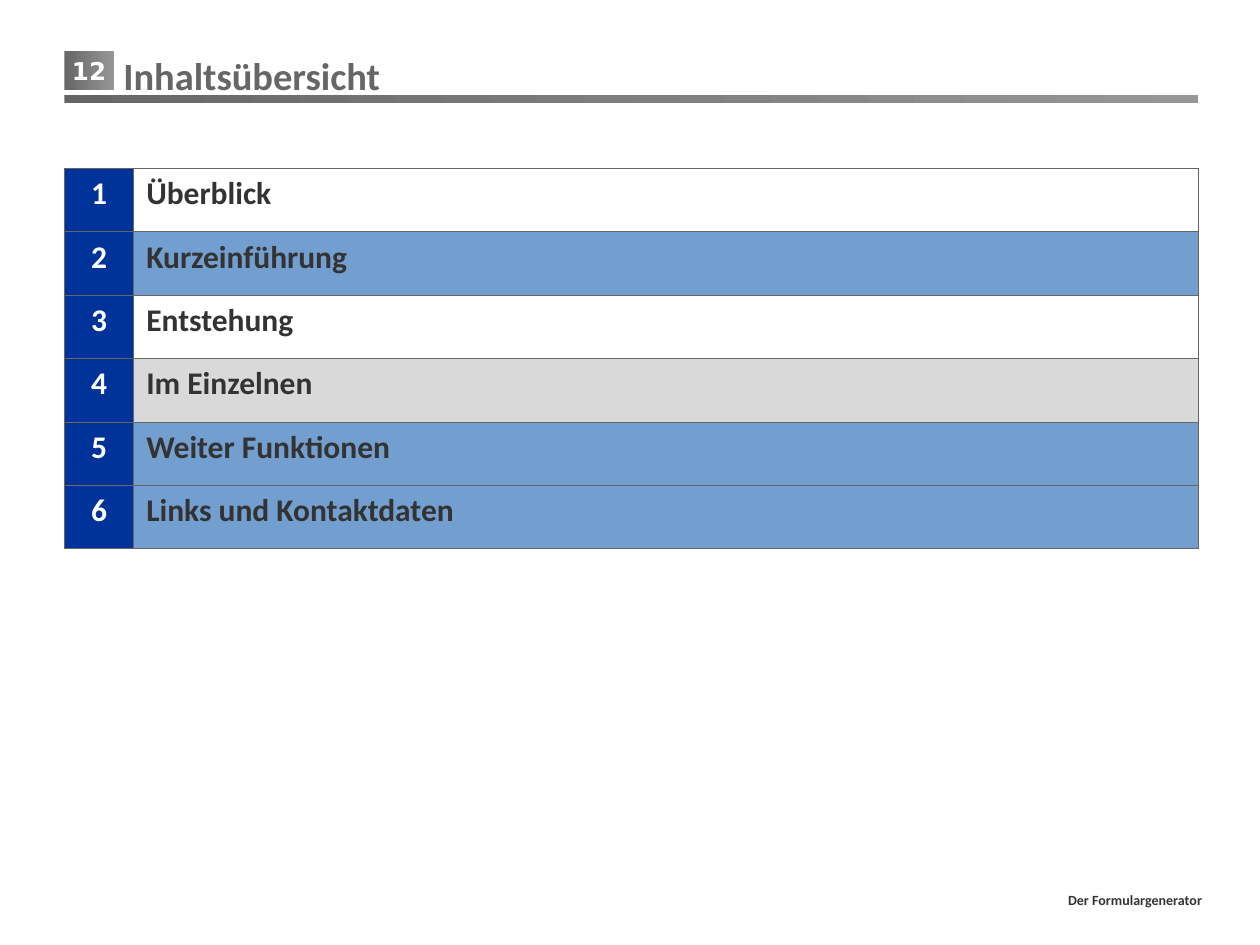
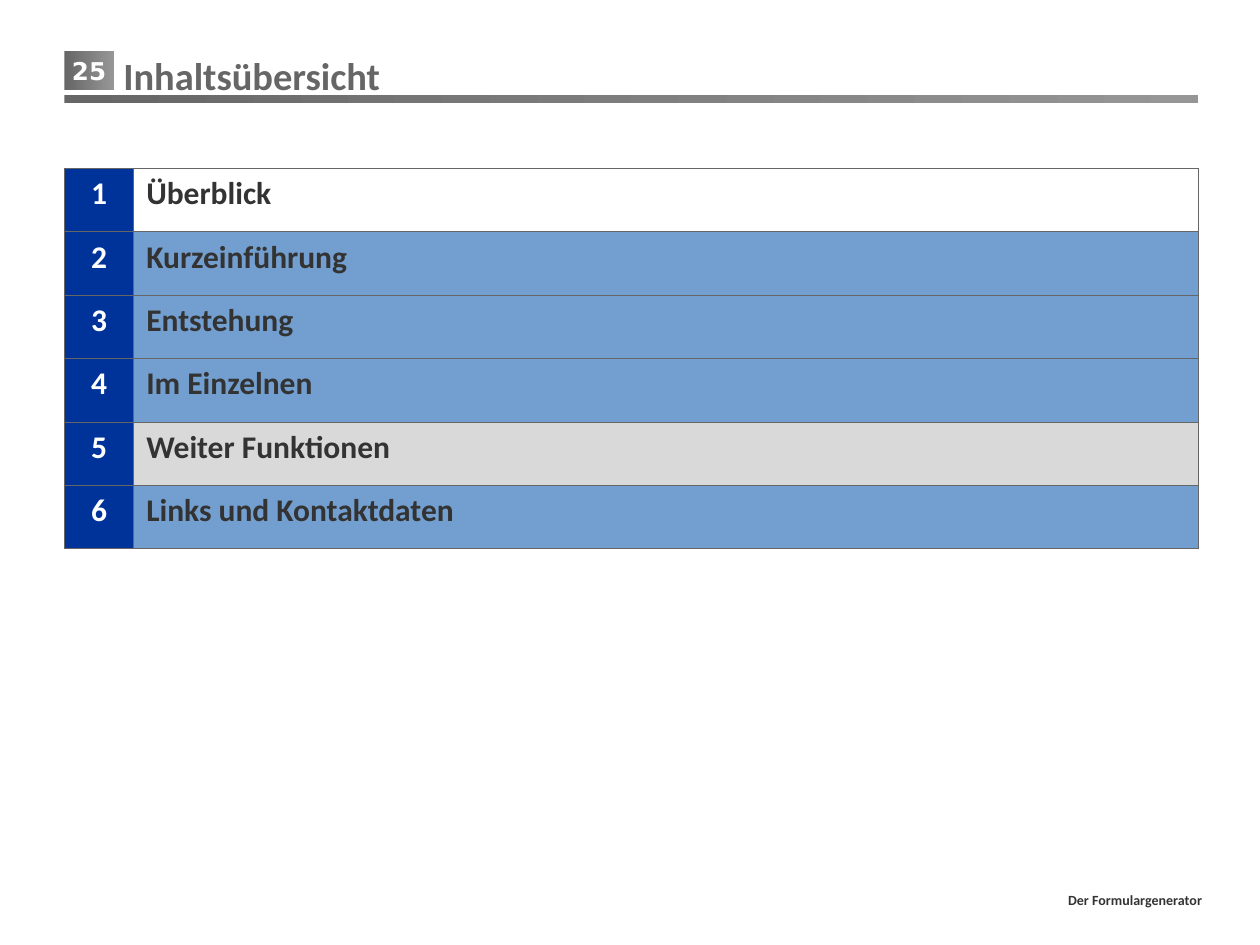
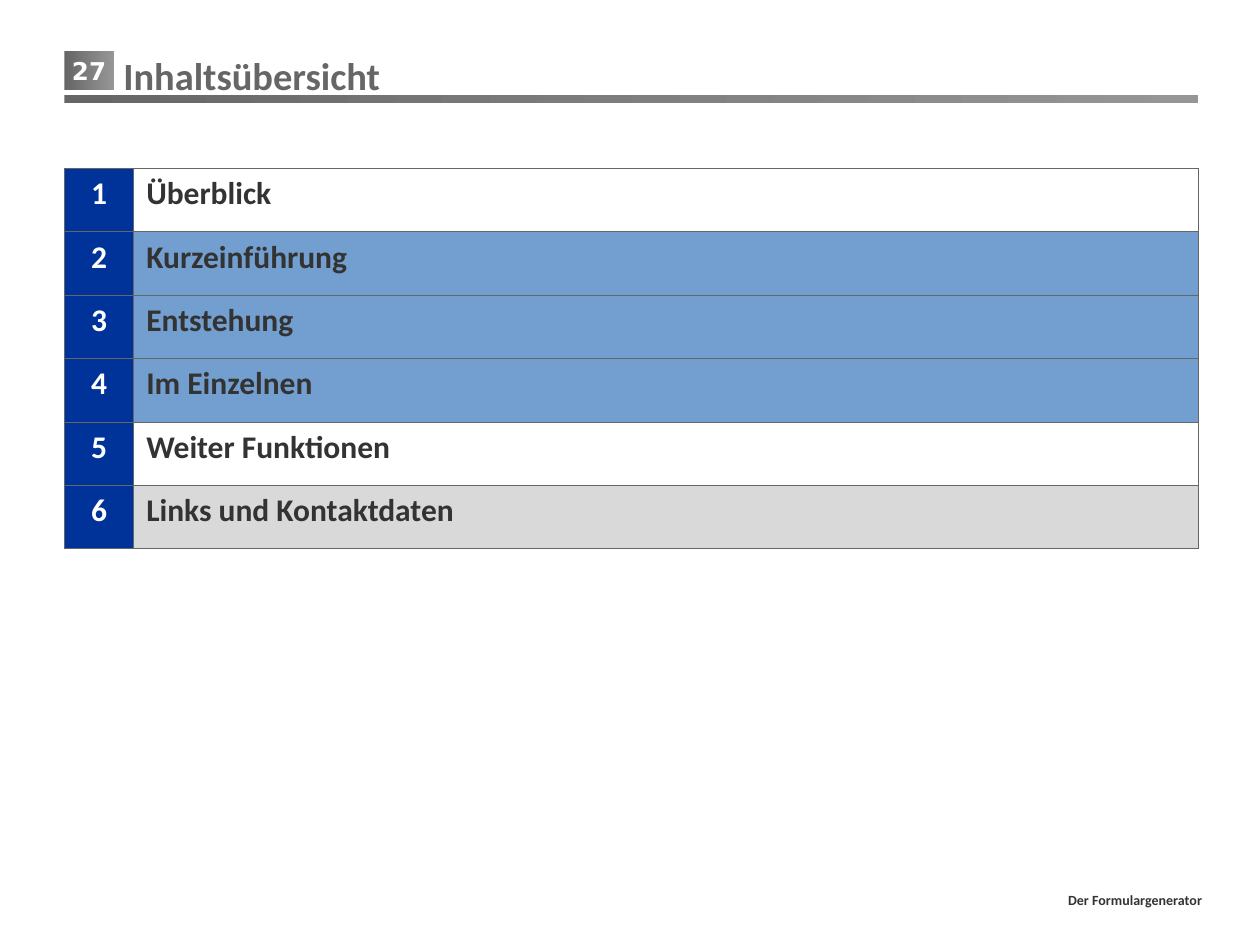
from collections import namedtuple
from dataclasses import dataclass

from lxml.etree import SubElement
from pptx import Presentation
from pptx.dml.color import RGBColor as Color
from pptx.enum.shapes import MSO_SHAPE as Shape
from pptx.enum.text import MSO_ANCHOR as Anchor, PP_ALIGN as Align
from pptx.oxml.ns import qn
from pptx.util import Pt

Box = namedtuple("Box", "left top width height")
Agenda = namedtuple("Agenda", "page current plain")


@dataclass(frozen=True)
class Theme:
    """Colours, fonts and type sizes of the deck."""
    white: str = "FFFFFF"
    ink: str = "333333"
    grey: str = "666666"
    light_grey: str = "969696"
    navy: str = "003399"
    blue: str = "729FCF"
    highlight: str = "D9D9D9"
    font: str = "Calibri"
    badge_font: str = "DejaVu Sans"
    title_size: int = 22
    table_size: int = 18
    badge_size: int = 14
    footer_size: int = 8


THEME = Theme()
HEADER = Box(36.8, 26, 648, 33)
TABLE = Box(36.8, 96.3, 648, 217.2)
FOOTER = Box(82.8, 501, 611.3, 26)
NUMBER_WIDTH = 39.6
CHAPTERS = ["Überblick", "Kurzeinführung", "Entstehung", "Im Einzelnen",
            "Weiter Funktionen", "Links und Kontaktdaten"]
AGENDAS = [Agenda(12, 4, {1, 3}), Agenda(25, 5, {1}), Agenda(27, 6, {1, 5})]


def write(frame, text, size, color, align=Align.LEFT, font=THEME.font):
    """Put one bold paragraph into a text frame."""
    paragraph = frame.paragraphs[0]
    paragraph.text = text
    paragraph.alignment = align
    paragraph.font.name = font
    paragraph.font.size = Pt(size)
    paragraph.font.bold = True
    paragraph.font.color.rgb = Color.from_string(color)


def add_text(slide, box, anchor, *style):
    """Add a wrapping text box and return its frame."""
    frame = slide.shapes.add_textbox(*map(Pt, box)).text_frame
    frame.word_wrap = True
    frame.vertical_anchor = anchor
    write(frame, *style)
    return frame


def add_gradient_bar(slide, box):
    """Add a rectangle that fades from grey to light grey."""
    shape = slide.shapes.add_shape(Shape.RECTANGLE, *map(Pt, box))
    shape.shadow.inherit = False
    shape.line.fill.background()
    shape.fill.gradient()
    shape.fill.gradient_angle = 0
    for stop, color in zip(shape.fill.gradient_stops, (THEME.grey, THEME.light_grey)):
        stop.color.rgb = Color.from_string(color)
    return shape


def add_header(slide, box, page, title):
    """Add the page badge, the rule and the title."""
    badge = add_gradient_bar(slide, Box(box.left, box.top + 3, 28.3, 22.5))
    badge.text_frame.word_wrap = False
    badge.text_frame.vertical_anchor = Anchor.MIDDLE
    write(badge.text_frame, str(page), THEME.badge_size, THEME.white,
          Align.CENTER, THEME.badge_font)
    add_gradient_bar(slide, Box(box.left, box.top + 28.5, box.width, 4.5))
    add_text(slide, Box(box.left + 26.6, box.top, box.width - 24, box.height + 1),
             Anchor.TOP, title, THEME.title_size, THEME.grey)


def add_footer(slide, box):
    """Add the right-aligned footer."""
    add_text(slide, box, Anchor.MIDDLE, "Der Formulargenerator",
             THEME.footer_size, THEME.ink, Align.RIGHT)


def style_cell(cell, fill):
    """Give a cell thin grey borders and a solid fill."""
    properties = cell._tc.get_or_add_tcPr()
    for side in ("a:lnL", "a:lnR", "a:lnT", "a:lnB"):
        line = SubElement(properties, qn(side), w=str(Pt(0.5)))
        SubElement(SubElement(line, qn("a:solidFill")), qn("a:srgbClr"), val=THEME.grey)
    cell.fill.solid()
    cell.fill.fore_color.rgb = Color.from_string(fill)


def add_agenda_table(slide, box, agenda):
    """Add the numbered chapter table with the current chapter highlighted."""
    table = slide.shapes.add_table(len(CHAPTERS), 2, *map(Pt, box)).table
    table.first_row = table.horz_banding = False
    table.columns[0].width = Pt(NUMBER_WIDTH)
    table.columns[1].width = Pt(box.width - NUMBER_WIDTH)
    for number, (row, chapter) in enumerate(zip(table.rows, CHAPTERS), 1):
        row.height = Pt(box.height / len(CHAPTERS))
        fill = THEME.white if number in agenda.plain else THEME.blue
        if number == agenda.current:
            fill = THEME.highlight
        number_cell, chapter_cell = row.cells
        style_cell(number_cell, THEME.navy)
        style_cell(chapter_cell, fill)
        write(number_cell.text_frame, str(number), THEME.table_size, THEME.white, Align.CENTER)
        write(chapter_cell.text_frame, chapter, THEME.table_size, THEME.ink)


def add_agenda_slide(presentation, agenda):
    """Add one table-of-contents slide."""
    slide = presentation.slides.add_slide(presentation.slide_layouts[6])
    add_header(slide, HEADER, agenda.page, "Inhaltsübersicht")
    add_agenda_table(slide, TABLE, agenda)
    add_footer(slide, FOOTER)


def main():
    """Build and save the deck."""
    presentation = Presentation()
    presentation.slide_width, presentation.slide_height = Pt(720), Pt(540)
    for agenda in AGENDAS:
        add_agenda_slide(presentation, agenda)
    presentation.save("out.pptx")


if __name__ == "__main__":
    main()
